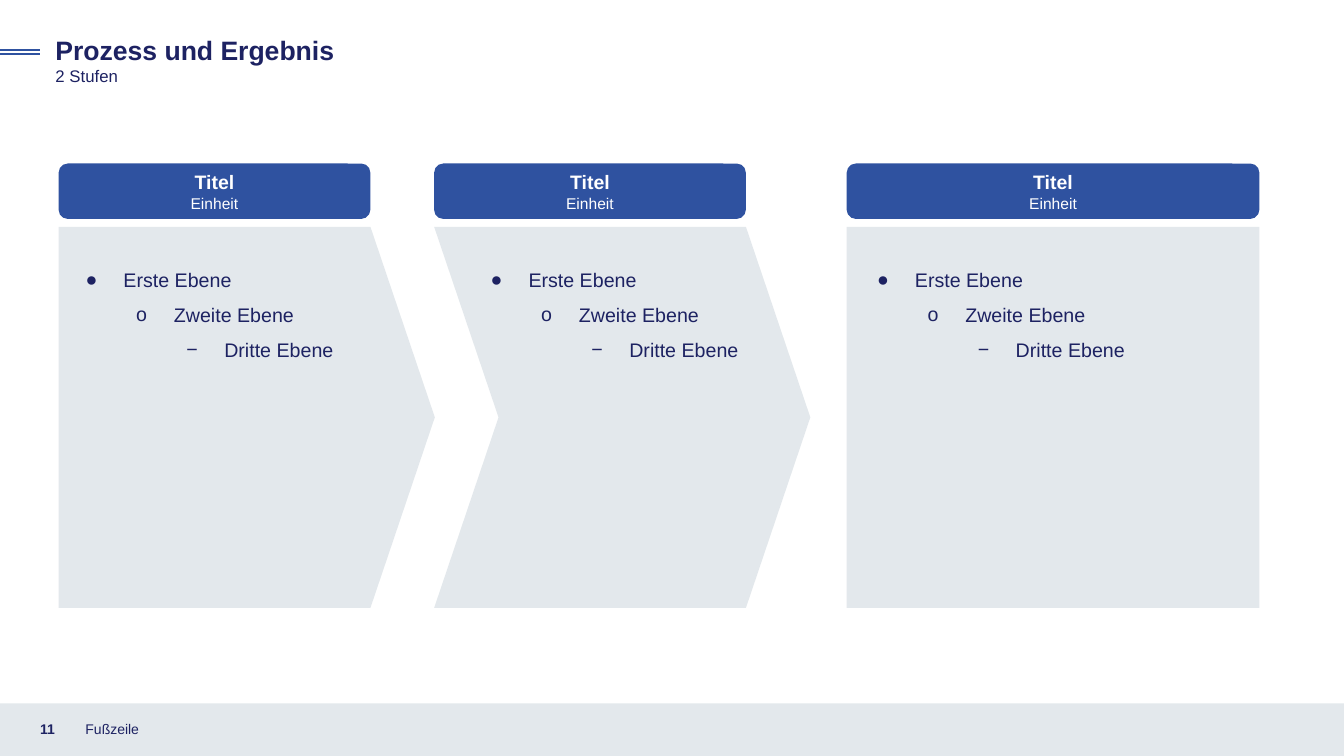
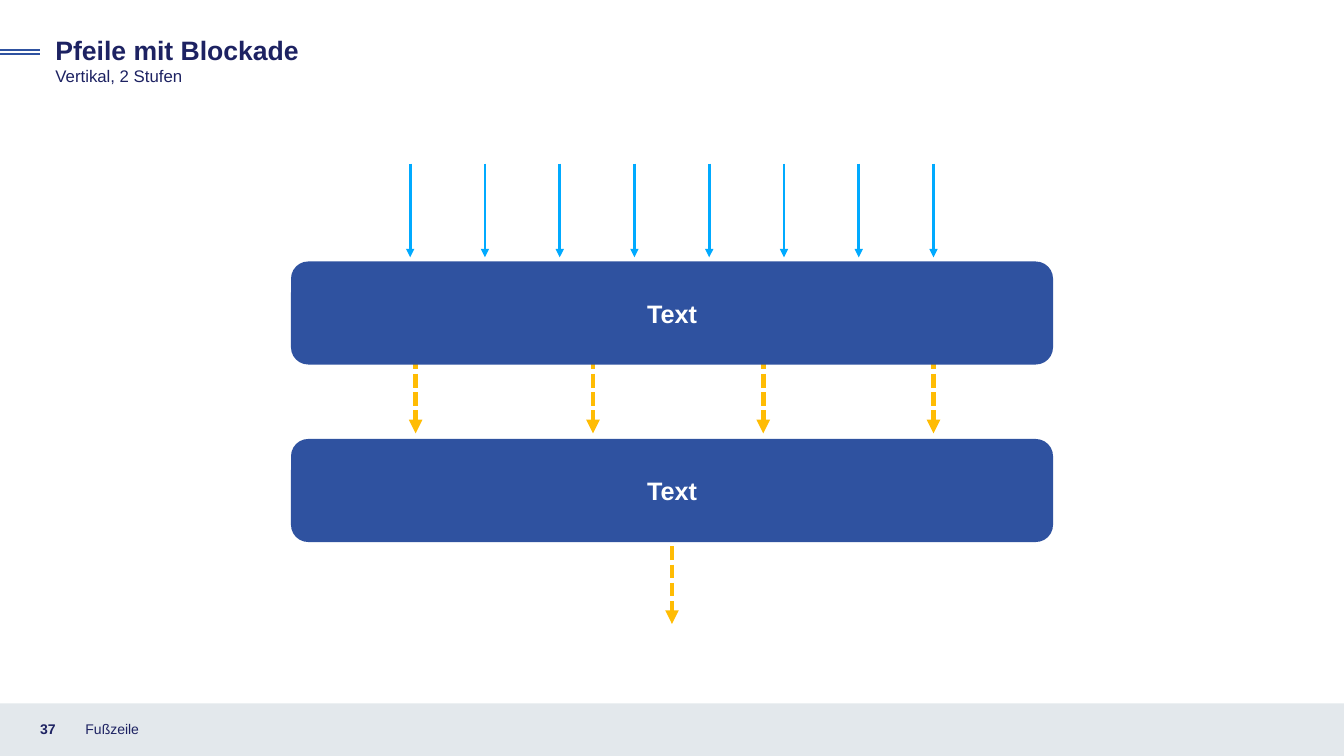
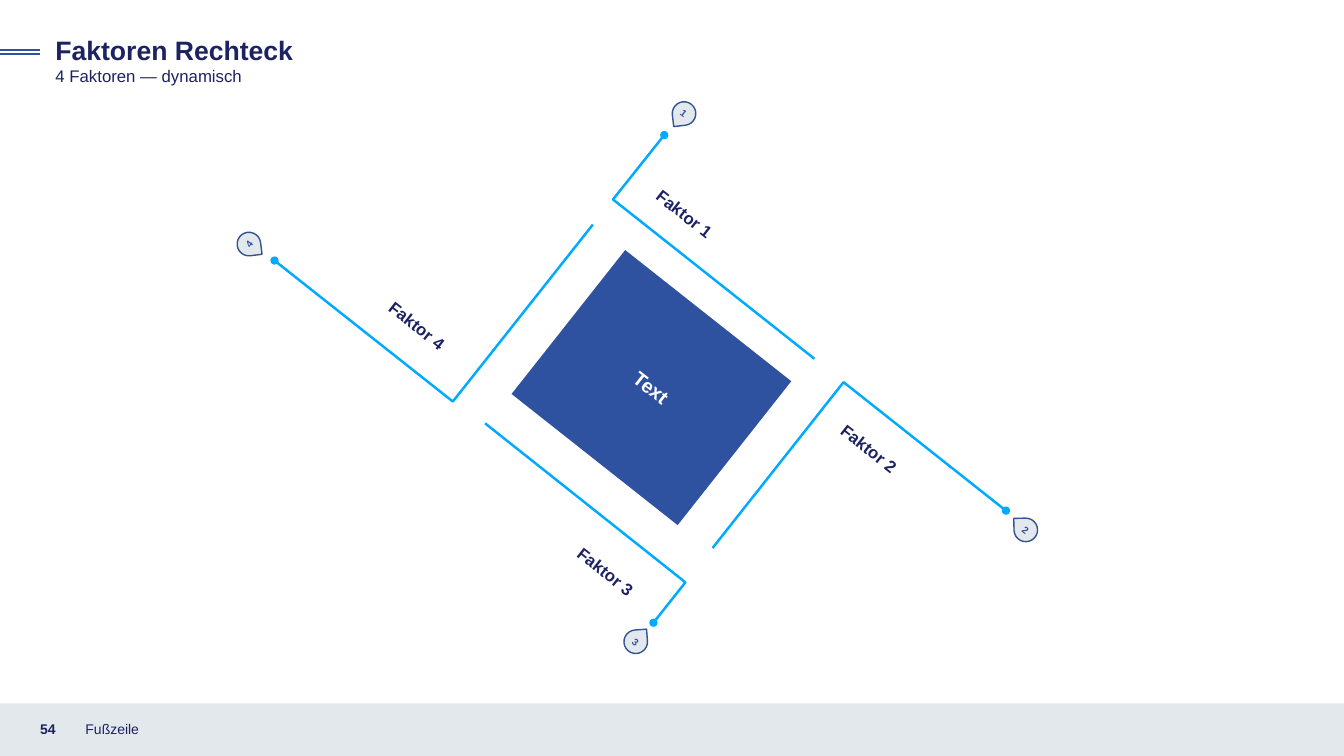
from pptx import Presentation
from pptx import util as u
from pptx.dml.color import RGBColor
from pptx.enum import dml, shapes, text
from pptx.oxml.ns import qn
from lxml import etree

HUE = {
    "navy": "1D2262",
    "blue": "2F52A0",
    "edge": "325491",
    "sky": "00AAFF",
    "gold": "FFBC04",
    "mist": "E3E8EC",
    "white": "FFFFFF",
}
FONT = "Arial"
KIND = shapes.MSO_SHAPE
LEFT, MID, RIGHT = text.PP_ALIGN.LEFT, text.PP_ALIGN.CENTER, text.PP_ALIGN.RIGHT
TOP, CORE = text.MSO_ANCHOR.TOP, text.MSO_ANCHOR.MIDDLE
TILT = 38.3


def form(page, kind, box, fill=None, turn=0):
    spot = [u.Pt(v) for v in box]
    if kind is None:
        item = page.shapes.add_textbox(*spot)
    else:
        item = page.shapes.add_shape(kind, *spot)
        item.shadow.inherit = False
        item.fill.solid()
        item.fill.fore_color.rgb = RGBColor.from_string(HUE[fill])
        item.line.fill.background()
    item.rotation = turn
    return item


def say(item, rows, side=LEFT, hold=TOP, pad=None, marks="", gap=1.0):
    frame = item.text_frame
    frame.word_wrap = True
    frame.auto_size = text.MSO_AUTO_SIZE.NONE
    frame.vertical_anchor = hold
    if pad is not None:
        frame.margin_left = frame.margin_right = u.Pt(pad)
        frame.margin_top = frame.margin_bottom = u.Pt(pad)
    for i, (words, size, hue, bold) in enumerate(rows):
        par = frame.paragraphs[0] if i == 0 else frame.add_paragraph()
        prop = par._p.get_or_add_pPr()
        if marks:
            par.level = i
            prop.set("marL", str(u.Pt(27 + 36 * i)))
            prop.set("indent", str(u.Pt(-27)))
            tint = etree.SubElement(prop, qn("a:buClr"))
            etree.SubElement(tint, qn("a:srgbClr"), val=HUE[hue])
            etree.SubElement(prop, qn("a:buFont"), typeface=FONT)
            etree.SubElement(prop, qn("a:buChar"), char=marks[i])
        else:
            prop.set("marL", "0")
            prop.set("indent", "0")
            etree.SubElement(prop, qn("a:buNone"))
        par.alignment = side
        par.line_spacing = gap
        par.space_before = par.space_after = u.Pt(0)
        run = par.add_run()
        run.text = words
        run.font.name = FONT
        run.font.size = u.Pt(size)
        run.font.bold = bold
        run.font.color.rgb = RGBColor.from_string(HUE[hue])


deck = Presentation()
deck.slide_width, deck.slide_height = u.Pt(960), u.Pt(540)

heads = [
    (4, "11", "Prozess und Ergebnis", "2 Stufen"),
    (1, "37", "Pfeile mit Blockade", "Vertikal, 2 Stufen"),
    (1, "54", "Faktoren Rechteck", "4 Faktoren — dynamisch"),
]
pages, wires = [], []
for plan, count, title, sub in heads:
    page = deck.slides.add_slide(deck.slide_layouts[plan])
    pages.append(page)
    tops = [
        (page.shapes.title, (32.4, 20.9, 556, 30), (title, 19, "navy", True)),
        (page.placeholders[1], (32.4, 43.2, 249, 21.6), (sub, 12, "navy", False)),
    ]
    for item, box, row in tops:
        item.left, item.top, item.width, item.height = [u.Pt(v) for v in box]
        say(item, [row])
    form(page, KIND.RECTANGLE, (-1, 502.5, 961, 39.6), "mist")
    foot = form(page, None, (21.6, 506.2, 32.4, 28.8))
    say(foot, [(count, 10, "navy", True)], hold=CORE)
    foot = form(page, None, (54, 506.2, 324, 28.8))
    say(foot, [("Fußzeile", 10, "navy", False)], hold=CORE)
    for y in (35.5, 38.9):
        wires.append((page, 0, y, 28.4, y, "blue", 1.5))

steps, block, star = pages

for i in range(8):
    x = 293 + 53.4 * i
    wires.append((block, x, 116.9, x, 183.8, "sky", 2))
for x in (296.9, 423.6, 545.2, 666.8):
    wires.append((block, x, 254, x, 309.6, "gold", 3.25))
wires.append((block, 480, 390.2, 480, 445.7, "gold", 3.25))

for page, x, y, right, low, hue, wide in wires:
    wire = page.shapes.add_connector(
        shapes.MSO_CONNECTOR.STRAIGHT, u.Pt(x), u.Pt(y), u.Pt(right), u.Pt(low))
    wire.line.color.rgb = RGBColor.from_string(HUE[hue])
    wire.line.width = u.Pt(wide)
    if hue == "gold":
        wire.line.dash_style = dml.MSO_LINE.SQUARE_DOT
    prop = wire.element.spPr
    if hue != "blue":
        etree.SubElement(prop.find(qn("a:ln")), qn("a:tailEnd"), type="triangle")
    etree.SubElement(prop, qn("a:effectLst"))

TIP = 46
parts = [
    (2, KIND.PENTAGON, 41.9, 222.7, TIP, 54, 208.8),
    (3, KIND.CHEVRON, 310.1, 222.7, TIP, 343.3, 210.2),
    (4, KIND.RECTANGLE, 604.8, 294.8, 0, 619.3, 265.7),
]
levels = ("Erste Ebene", "Zweite Ebene", "Dritte Ebene")
for slot, kind, x, wide, tip, start, span in parts:
    cap = form(steps, KIND.ROUNDED_RECTANGLE, (x, 116.8, wide, 39.6), "blue")
    say(cap, [("Titel", 13.9, "white", True), ("Einheit", 11.1, "white", False)], MID, CORE)
    pane = form(steps, kind, (x, 162, wide + tip, 272.2), "mist")
    if tip:
        pane.adjustments[0] = tip / min(wide + tip, 272.2)
    body = steps.placeholders[slot]
    body.left, body.top, body.width, body.height = [
        u.Pt(v) for v in (start, 179.3, span, 226.8)]
    steps.shapes.element.append(body.element)
    say(body, [(name, 14, "navy", False) for name in levels], marks="●o−", gap=1.5)

for y in (186.8, 313.6):
    bar = form(block, KIND.ROUNDED_RECTANGLE, (207.9, y, 544.3, 73.6), "blue")
    say(bar, [("Text", 18, "white", True)], MID, CORE)

hub = form(star, KIND.RECTANGLE, (389.7, 211.4, 151.2, 131), "blue", TILT)
say(hub, [("Text", 14, "white", True)], MID, CORE, 0)

arms = [
    ([(474.5, 96.5), (437.9, 142.5), (581.8, 256.3)],
     (457.9, 167.8), LEFT, (480.2, 72.7), 173.3, TILT),
    ([(718.6, 364.8), (602.6, 273), (509, 391.5)],
     (589.7, 335.5), LEFT, (724.3, 370.1), 268.6, TILT),
    ([(466.8, 444.8), (489.6, 416), (346.5, 302.4)],
     (344.9, 378.7), RIGHT, (445.7, 450), 355.6, TILT),
    ([(196.1, 186.1), (323.5, 286.8), (423.5, 160.4)],
     (210.2, 203), RIGHT, (169.4, 165.9), 82.8, 307.6),
]
for i, (path, spot, side, drop, turn, tilt) in enumerate(arms, 1):
    first, *rest = [(u.Pt(x), u.Pt(y)) for x, y in path]
    pen = star.shapes.build_freeform(*first)
    pen.add_line_segments(rest, close=False)
    arm = pen.convert_to_shape()
    arm.shadow.inherit = False
    arm.fill.background()
    arm.line.color.rgb = RGBColor.from_string(HUE["sky"])
    arm.line.width = u.Pt(1.75)
    etree.SubElement(arm.element.spPr.find(qn("a:ln")), qn("a:headEnd"), type="oval")

    label = form(star, None, (*spot, 118.8, 14.4), turn=TILT)
    say(label, [(f"Faktor {i}", 12, "navy", True)], side, CORE, 0)

    x, y = drop
    pin = form(star, KIND.TEAR, (x, y, 16.8, 16.8), "mist", turn)
    pin.line.color.rgb = RGBColor.from_string(HUE["edge"])
    pin.line.width = u.Pt(1)
    digit = form(star, None, (x - 1, y + 0.5, 18.8, 15.8), turn=tilt)
    say(digit, [(str(i), 7, "blue", True)], MID, CORE, 0)

deck.save("out.pptx")
